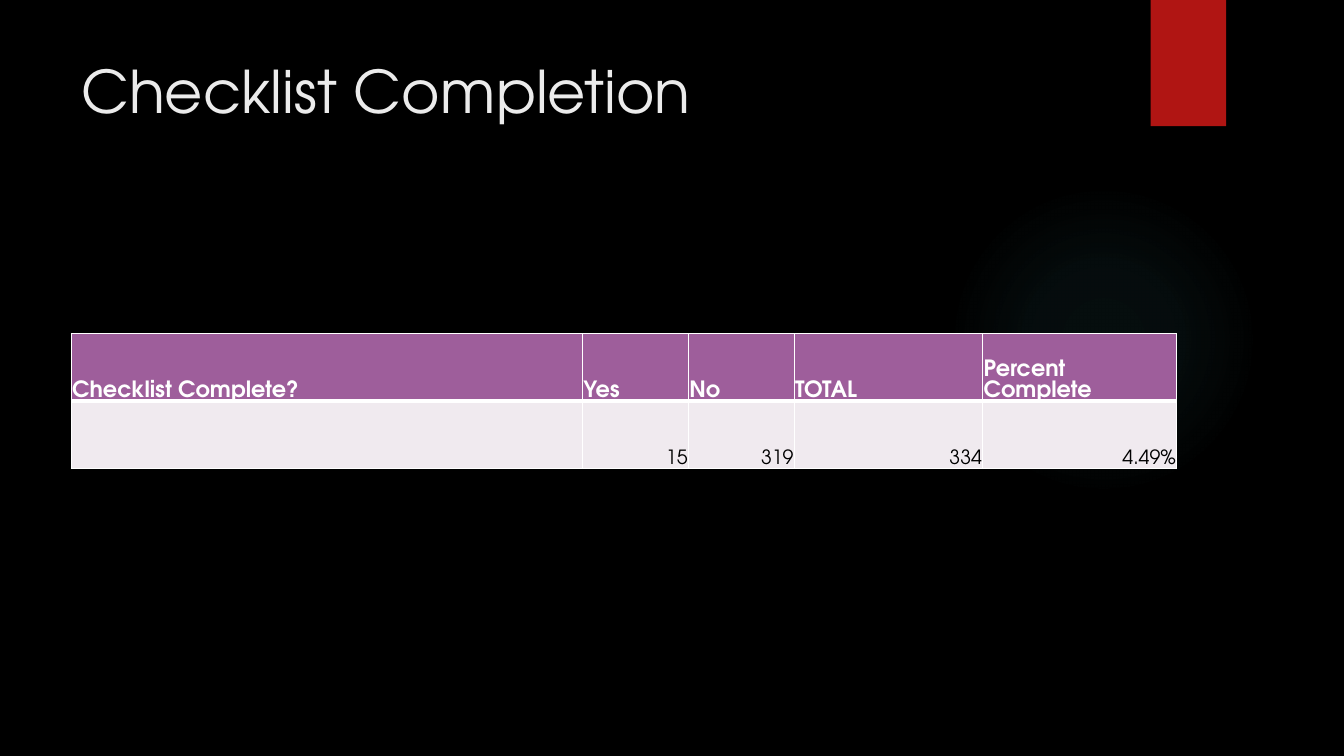
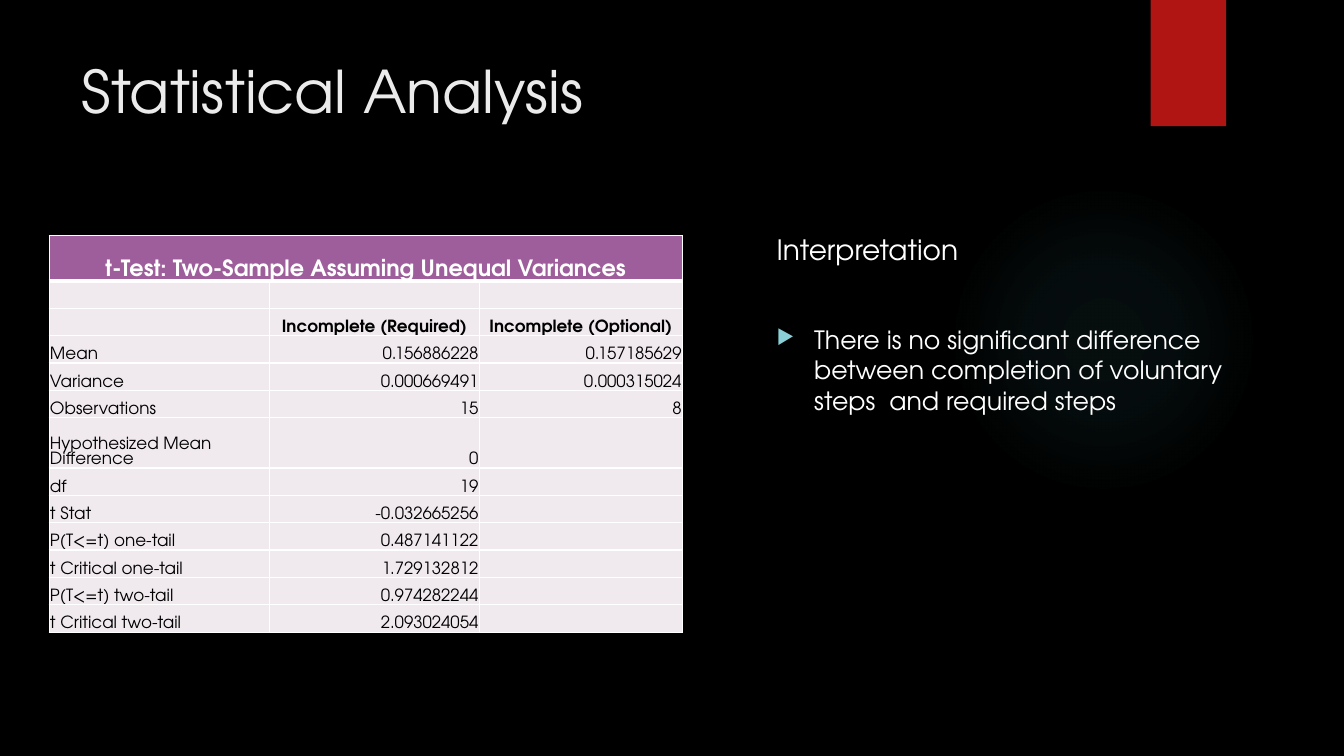
from lxml import etree
from pptx import Presentation
from pptx.dml.color import RGBColor
from pptx.enum.shapes import MSO_SHAPE
from pptx.enum.text import MSO_ANCHOR, PP_ALIGN
from pptx.oxml.ns import qn
from pptx.util import Cm, Pt

LEFT, CENTER, RIGHT = PP_ALIGN.LEFT, PP_ALIGN.CENTER, PP_ALIGN.RIGHT
TOP, BOTTOM = MSO_ANCHOR.TOP, MSO_ANCHOR.BOTTOM
OVAL, RECTANGLE = MSO_SHAPE.OVAL, MSO_SHAPE.RECTANGLE

BLACK = RGBColor(0x00, 0x00, 0x00)
WHITE = RGBColor(0xFF, 0xFF, 0xFF)
TITLE_GREY = RGBColor(0xEB, 0xEB, 0xEB)
RED = RGBColor(0xB0, 0x15, 0x13)
PURPLE = RGBColor(0x9E, 0x5E, 0x9B)
PALE = RGBColor(0xF0, 0xEA, 0xEF)
GLOW = RGBColor(0x50, 0xB9, 0xC1)
BULLET = RGBColor(0x8A, 0xD0, 0xD6)

FONT = "TeX Gyre Adventor"
GLOW_STOPS = [(0, 7), (36, 6), (69, 0)]  # position and opacity, percent
TITLE_STYLE = {"size": Pt(42), "color": TITLE_GREY}
HEADER_STYLE = {"size": Pt(16), "color": WHITE, "bold": True}
FIGURE_STYLE = {"size": Pt(14), "color": BLACK, "bold": False}
SMALL_STYLE = {"size": Pt(12), "color": BLACK, "bold": False}
SUBHEAD_STYLE = {**SMALL_STYLE, "bold": True}
CELL_FORMAT = {"margin_left": Cm(0.02), "margin_top": Cm(0.02), "margin_right": Cm(0.02),
               "margin_bottom": 0, "vertical_anchor": BOTTOM}


def add_xml(parent, tag, **attributes):
    return etree.SubElement(parent, qn(tag), {key: str(value) for key, value in attributes.items()})


def write(para, text, style, align=LEFT):
    para.alignment = align
    span = para.add_run()
    span.text = text
    span.font.name = FONT
    span.font.color.rgb = style["color"]
    for name in ("size", "bold"):
        setattr(span.font, name, style.get(name))


def add_text_box(page, box):
    frame = page.shapes.add_textbox(*box).text_frame
    frame.word_wrap = True
    frame.vertical_anchor = TOP
    return frame


# Shared page parts
def add_decoration(page, kind, box):
    shape = page.shapes.add_shape(kind, *box)
    shape.shadow.inherit = False
    shape.line.fill.background()
    return shape


def add_glow(page, box):
    glow = add_decoration(page, OVAL, box)
    glow.fill.gradient()
    gradient = glow.fill._xPr.find(qn("a:gradFill"))
    for child in list(gradient):
        gradient.remove(child)
    stops = add_xml(gradient, "a:gsLst")
    for position, opacity in GLOW_STOPS:
        stop = add_xml(stops, "a:gs", pos=position * 1000)
        color = add_xml(stop, "a:srgbClr", val=GLOW)
        add_xml(color, "a:alpha", val=opacity * 1000)
    circle = add_xml(gradient, "a:path", path="circle")
    add_xml(circle, "a:fillToRect", l=50000, t=50000, r=50000, b=50000)


def add_page(deck, title):
    page = deck.slides.add_slide(deck.slide_layouts[6])
    page.background.fill.solid()
    page.background.fill.fore_color.rgb = BLACK
    add_glow(page, (Cm(23.9), Cm(4.65), Cm(7.82), Cm(7.82)))
    ribbon = add_decoration(page, RECTANGLE, (Cm(29), 0, Cm(1.9), Cm(3.18)))
    ribbon.fill.solid()
    ribbon.fill.fore_color.rgb = RED
    frame = add_text_box(page, (Cm(1.8), Cm(1.25), Cm(26.14), Cm(3.89)))
    write(frame.paragraphs[0], title, TITLE_STYLE)
    return page


# Tables
def set_borders(cell, **widths):
    properties = cell._tc.get_or_add_tcPr()
    for index, side in enumerate("LRTB"):
        line = etree.Element(qn("a:ln" + side), w=str(Pt(widths.get(side, 1))))
        add_xml(add_xml(line, "a:solidFill"), "a:srgbClr", val=WHITE)
        properties.insert(index, line)


def add_grid(page, left, top, widths, heights, rows, style_of):
    """Place a table; style_of(row, column) gives the text style and alignment."""
    table = page.shapes.add_table(len(rows), len(widths), left, top,
                                  sum(widths), sum(heights)).table
    table.first_row = table.horz_banding = False
    for column, width in zip(table.columns, widths):
        column.width = width
    for row, height in zip(table.rows, heights):
        row.height = height
    for row, texts in enumerate(rows):
        for column in range(len(widths)):
            cell = table.cell(row, column)
            for name, value in CELL_FORMAT.items():
                setattr(cell, name, value)
            cell.fill.solid()
            cell.fill.fore_color.rgb = PALE if row else PURPLE
            set_borders(cell, **{0: {"B": 3}, 1: {"T": 3}}.get(row, {}))
            para = cell.text_frame.paragraphs[0]
            style, align = style_of(row, column)
            if column < len(texts) and texts[column]:
                write(para, texts[column], style, align)
            else:
                add_xml(para._p, "a:endParaRPr", sz=int(style["size"].pt * 100))
    return table


def completion_style(row, column):
    return (FIGURE_STYLE, RIGHT) if row else (HEADER_STYLE, LEFT)


def t_test_style(row, column):
    if row == 0:
        return HEADER_STYLE, CENTER
    if row == 2:
        return SUBHEAD_STYLE, CENTER
    return SMALL_STYLE, RIGHT if column else LEFT


# Interpretation text
def add_interpretation(page, box, heading, finding):
    frame = add_text_box(page, box)
    write(frame.paragraphs[0], heading, {"size": Pt(20), "color": WHITE})
    para = frame.add_paragraph()
    write(para, finding, {"size": Pt(18), "color": WHITE})
    para.space_before = Pt(41.5)
    properties = para._p.get_or_add_pPr()
    properties.set("marL", str(Cm(0.95)))
    properties.set("indent", str(-Cm(0.95)))
    add_xml(add_xml(properties, "a:buClr"), "a:srgbClr", val=BULLET)
    add_xml(properties, "a:buSzPct", val=80000)
    add_xml(properties, "a:buChar", char="▶")


def build_completion(deck):
    page = add_page(deck, "Checklist Completion")
    rows = [
        ["Checklist Complete?", "Yes", "No", "TOTAL", "Percent Complete"],
        ["", "15", "319", "334", "4.49%"],
    ]
    widths = [Cm(width) for width in (12.88, 2.67, 2.67, 4.75, 4.88)]
    add_grid(page, Cm(1.8), Cm(8.41), widths, [Cm(1.7)] * 2, rows, completion_style)


def build_analysis(deck):
    page = add_page(deck, "Statistical Analysis")
    rows = [
        ["t-Test: Two-Sample Assuming Unequal Variances"],
        [],
        ["", "Incomplete (Required)", "Incomplete (Optional)"],
        ["Mean", "0.156886228", "0.157185629"],
        ["Variance", "0.000669491", "0.000315024"],
        ["Observations", "15", "8"],
        ["Hypothesized Mean Difference", "0"],
        ["df", "19"],
        ["t Stat", "-0.032665256"],
        ["P(T<=t) one-tail", "0.487141122"],
        ["t Critical one-tail", "1.729132812"],
        ["P(T<=t) two-tail", "0.974282244"],
        ["t Critical two-tail", "2.093024054"],
    ]
    tall_rows = {0: 1.14, 6: 1.27}
    heights = [Cm(tall_rows.get(row, 0.69)) for row in range(len(rows))]
    widths = [Cm(width) for width in (5.56, 5.28, 5.12)]
    table = add_grid(page, Cm(1.24), Cm(5.94), widths, heights, rows, t_test_style)
    table.cell(0, 0).merge(table.cell(0, 2))
    add_interpretation(
        page, (Cm(19.32), Cm(5.74), Cm(12.22), Cm(11.66)), "Interpretation",
        "There is no significant difference between completion of voluntary "
        "steps  and required steps")


def main():
    deck = Presentation()
    deck.slide_width, deck.slide_height = Cm(33.87), Cm(19.05)
    build_completion(deck)
    build_analysis(deck)
    deck.save("out.pptx")


if __name__ == "__main__":
    main()
